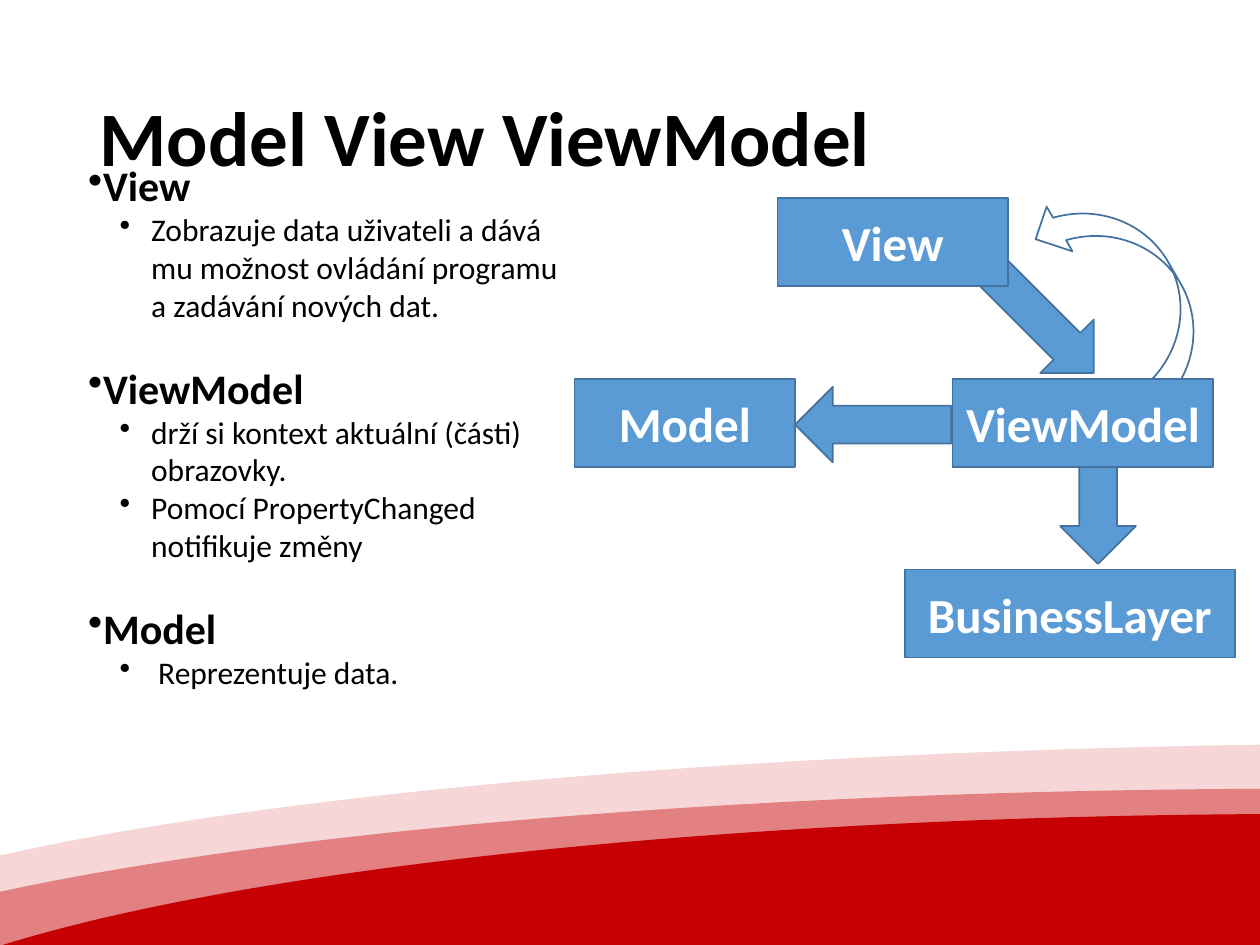
from pptx import Presentation
from pptx.dml.color import RGBColor
from pptx.enum.shapes import MSO_SHAPE
from pptx.enum.text import MSO_ANCHOR, PP_ALIGN
from pptx.oxml.ns import qn
from pptx.util import Inches, Pt
from lxml.etree import SubElement

BLACK = RGBColor(0x00, 0x00, 0x00)
WHITE = RGBColor(0xFF, 0xFF, 0xFF)
BLUE = RGBColor(0x5B, 0x9B, 0xD5)
DARK_BLUE = RGBColor(0x43, 0x73, 0x9E)
PALE_RED = RGBColor(0xF6, 0xD6, 0xD6)
LIGHT_RED = RGBColor(0xE3, 0x80, 0x81)
RED = RGBColor(0xC6, 0x00, 0x02)
FONT = "Calibri"

# Content
TITLE = "Model View ViewModel"
SECTIONS = [
    ("View", ["Zobrazuje data uživateli a dává mu možnost ovládání programu a zadávání nových dat."]),
    ("ViewModel", ["drží si kontext aktuální (části) obrazovky.",
                   "Pomocí PropertyChanged notifikuje změny"]),
    ("Model", [" Reprezentuje data."]),
]
# Places are left, top, width, height in inches
WAVES = [
    ((-2.03, 5.9, 26.94, 3.77), PALE_RED),
    ((-2.28, 6.26, 25.28, 3.83), LIGHT_RED),
    ((-1.41, 6.46, 23.6, 3.98), RED),
]
BOX_HEIGHT = 0.7
BOXES = [  # label, left, top, width
    ("Model", 4.56, 3.01, 1.75),
    ("ViewModel", 7.56, 3.01, 2.07),
    ("View", 6.17, 1.57, 1.83),
    ("BusinessLayer", 7.18, 4.52, 2.62),
]
BLOCK_ARROWS = [  # place, rotation
    ((7.69, 2.25, 1.16, 0.6), 225),
    ((6.31, 3.07, 1.24, 0.6), 0),
    ((8.33, 3.79, 0.77, 0.6), 270),
]
NOTIFY_ARROW = (8.53, 1.39, 0.82, 1.87)


def add_shape(slide, kind, place, fill=None, line=None):
    shape = slide.shapes.add_shape(kind, *map(Inches, place))
    shape.shadow.inherit = False
    if fill is None:
        shape.fill.background()
    else:
        shape.fill.solid()
        shape.fill.fore_color.rgb = fill
    if line is None:
        shape.line.fill.background()
    else:
        shape.line.color.rgb = line
        shape.line.width = Pt(1)
    return shape


def set_font(paragraph, size, color, bold):
    font = paragraph.font
    font.name, font.size, font.bold = FONT, Pt(size), bold
    font.color.rgb = color


def set_bullet(paragraph, margin, indent):
    properties = paragraph._p.get_or_add_pPr()
    properties.set("marL", str(Inches(margin)))
    properties.set("indent", str(Inches(indent)))
    bullet = properties.makeelement(qn("a:buChar"), {"char": "•"})
    defaults = properties.find(qn("a:defRPr"))
    if defaults is None:
        properties.append(bullet)
    else:
        defaults.addprevious(bullet)


def add_title(slide):
    title = slide.shapes.title
    title.left, title.top, title.width, title.height = map(Inches, (0.69, 0.4, 8.62, 1.45))
    title.text_frame.text = TITLE
    title.text_frame.vertical_anchor = MSO_ANCHOR.MIDDLE
    paragraph = title.text_frame.paragraphs[0]
    paragraph.alignment = PP_ALIGN.LEFT
    paragraph.line_spacing = 0.9
    set_font(paragraph, 44, BLACK, True)


def add_descriptions(slide):
    box = slide.shapes.add_textbox(*map(Inches, (0.33, 1.27, 4.24, 4.66)))
    frame = box.text_frame
    frame.word_wrap = True
    frame.margin_left, frame.margin_right = Inches(0.37), Inches(0.1)
    frame.margin_top = frame.margin_bottom = 0
    for index, (heading, points) in enumerate(SECTIONS):
        paragraph = frame.add_paragraph() if index else frame.paragraphs[0]
        paragraph.text = heading
        paragraph.space_before = Pt(22 if index else 0)
        set_font(paragraph, 24, BLACK, True)
        set_bullet(paragraph, 0, 0)
        for point in points:
            paragraph = frame.add_paragraph()
            paragraph.text = point
            paragraph.level = 1
            set_font(paragraph, 18, BLACK, False)
            set_bullet(paragraph, 0.5, -0.25)


def add_box(slide, label, left, top, width):
    box = add_shape(slide, MSO_SHAPE.RECTANGLE, (left, top, width, BOX_HEIGHT), BLUE, DARK_BLUE)
    frame = box.text_frame
    frame.text = label
    frame.word_wrap = False
    frame.vertical_anchor = MSO_ANCHOR.MIDDLE
    paragraph = frame.paragraphs[0]
    paragraph.alignment = PP_ALIGN.CENTER
    set_font(paragraph, 28, WHITE, True)


def main():
    presentation = Presentation()
    presentation.slide_width, presentation.slide_height = Inches(10), Inches(7.5)
    slide = presentation.slides.add_slide(presentation.slide_layouts[5])

    # Red waves along the bottom
    for place, color in WAVES:
        add_shape(slide, MSO_SHAPE.OVAL, place, color)

    # Title and descriptions
    add_title(slide)
    add_descriptions(slide)

    # Diagram: arrows first, so that the boxes cover their ends
    for place, rotation in BLOCK_ARROWS:
        add_shape(slide, MSO_SHAPE.LEFT_ARROW, place, BLUE, DARK_BLUE).rotation = rotation
    notify = add_shape(slide, MSO_SHAPE.CURVED_LEFT_ARROW, NOTIFY_ARROW, line=DARK_BLUE)
    notify.rotation = 150
    notify._element.spPr.find(qn("a:xfrm")).set("flipH", "1")
    for box in BOXES:
        add_box(slide, *box)

    presentation.save("out.pptx")


if __name__ == "__main__":
    main()
